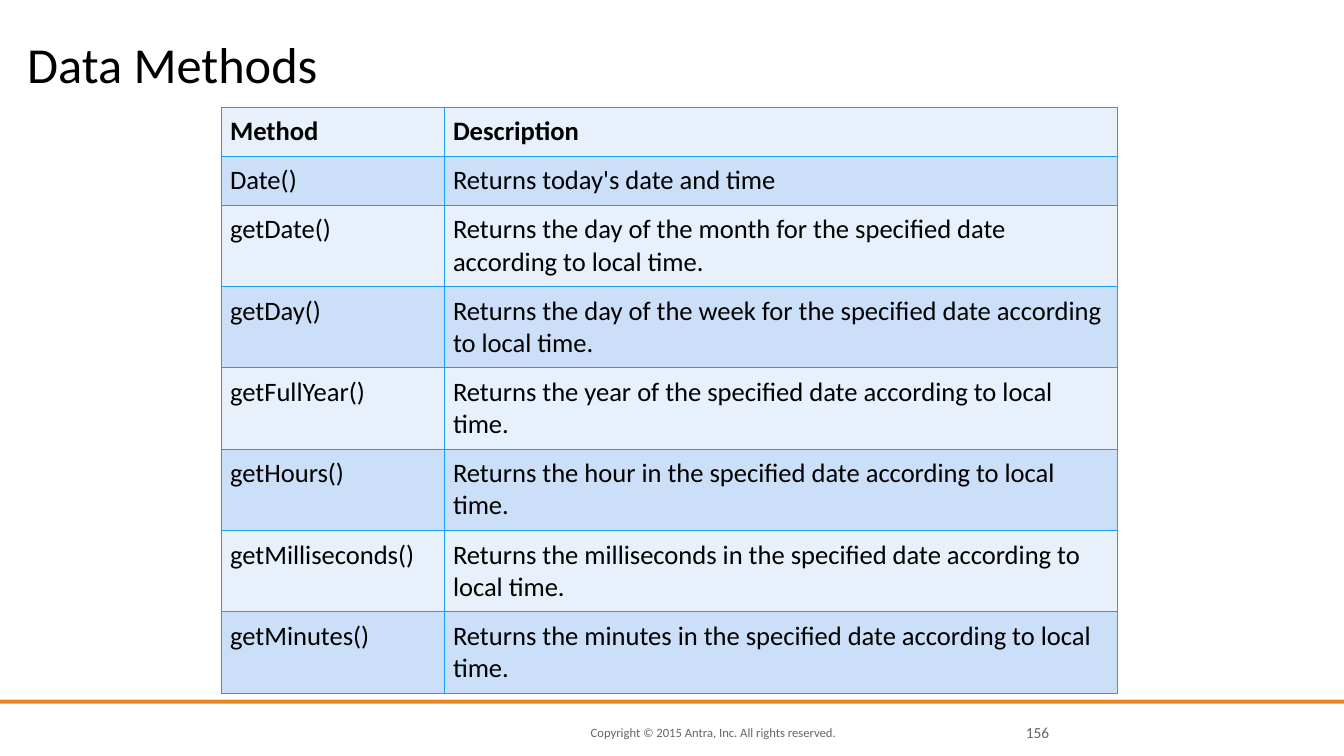
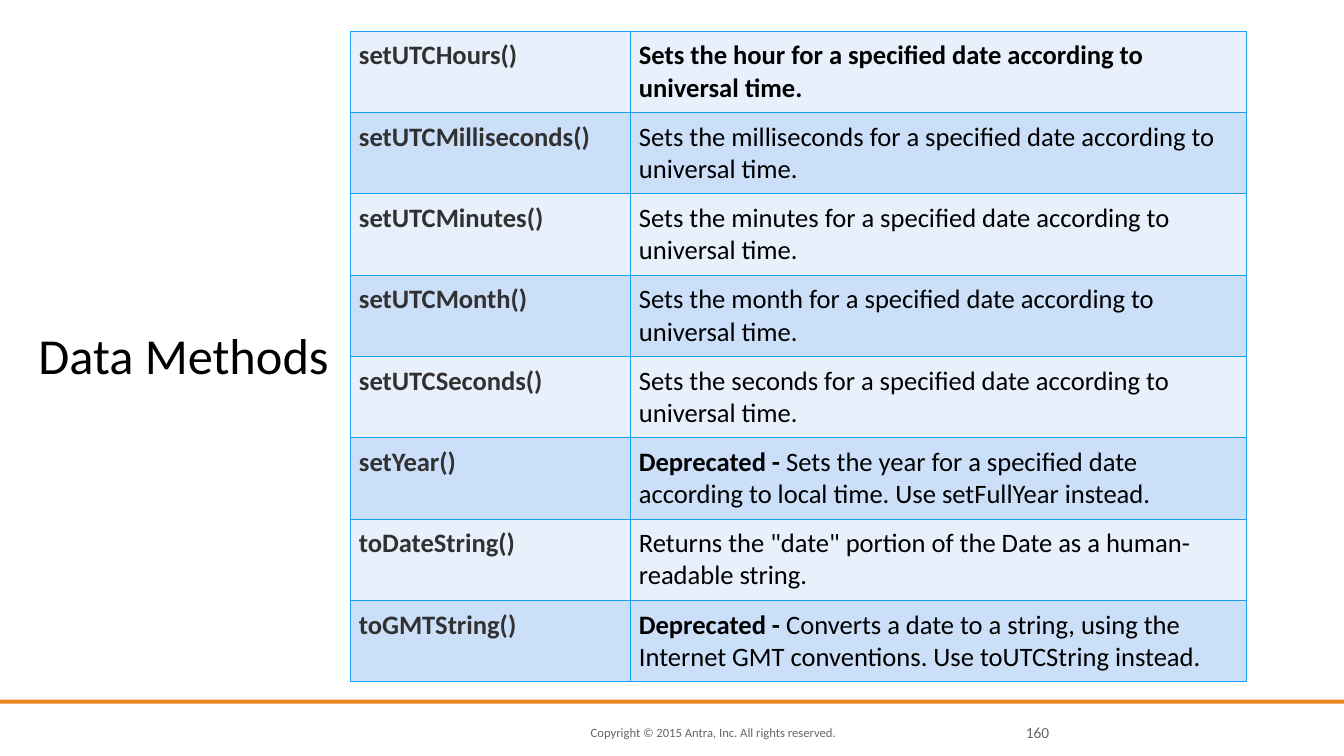
from dataclasses import dataclass

from lxml import etree
from pptx import Presentation
from pptx.dml.color import RGBColor
from pptx.enum.shapes import MSO_SHAPE
from pptx.enum.text import MSO_ANCHOR, MSO_AUTO_SIZE, PP_ALIGN
from pptx.oxml.ns import qn
from pptx.util import Pt

RECT = MSO_SHAPE.RECTANGLE
MIDDLE, BOTTOM = MSO_ANCHOR.MIDDLE, MSO_ANCHOR.BOTTOM
NO_FIT = MSO_AUTO_SIZE.NONE
LEFT, RIGHT, JUSTIFY = PP_ALIGN.LEFT, PP_ALIGN.RIGHT, PP_ALIGN.JUSTIFY


@dataclass(frozen=True)
class Theme:
    font: str = "Calibri"
    black: str = "000000"
    dark: str = "313131"
    grey: str = "666666"
    orange: str = "E68422"
    border: str = "189FEF"
    bands: tuple = ("E8F0FC", "CCDFF9")
    title: float = 36
    cell: float = 19
    number: float = 11
    copyright: float = 9


T = Theme()
ONE_LINE, TWO_LINES = 35, 57.6
CELL_INSET = 6

SLIDES = [
    {
        "number": "156",
        "title_box": (19.4, 18.7, 876, 48.2),
        "table_at": (158.4, 76.5),
        "columns": (159.2, 480.4),
        "method_color": T.black,
        "method_bold": False,
        "rows": [
            ("Method", "Description", ""),
            ("Date()", "", "Returns today's date and time"),
            ("getDate()", "", "Returns the day of the month for the specified date according to local time."),
            ("getDay()", "", "Returns the day of the week for the specified date according to local time."),
            ("getFullYear()", "", "Returns the year of the specified date according to local time."),
            ("getHours()", "", "Returns the hour in the specified date according to local time."),
            ("getMilliseconds()", "", "Returns the milliseconds in the specified date according to local time."),
            ("getMinutes()", "", "Returns the minutes in the specified date according to local time."),
        ],
    },
    {
        "number": "160",
        "title_box": (27.4, 231.1, 876, 43.2),
        "table_at": (250.4, 22.3),
        "columns": (200, 440),
        "method_color": T.dark,
        "method_bold": True,
        "rows": [
            ("setUTCHours()", "Sets the hour for a specified date according to universal time.", ""),
            ("setUTCMilliseconds()", "", "Sets the milliseconds for a specified date according to universal time."),
            ("setUTCMinutes()", "", "Sets the minutes for a specified date according to universal time."),
            ("setUTCMonth()", "", "Sets the month for a specified date according to universal time."),
            ("setUTCSeconds()", "", "Sets the seconds for a specified date according to universal time."),
            ("setYear()", "Deprecated - ",
             "Sets the year for a specified date according to local time. Use setFullYear instead."),
            ("toDateString()", "", 'Returns the "date" portion of the Date as a human-readable string.'),
            ("toGMTString()", "Deprecated - ",
             "Converts a date to a string, using the Internet GMT conventions. Use toUTCString instead."),
        ],
    },
]


def add_run(p, text, size, color, bold=False):
    r = p.add_run()
    r.text = text
    for name, value in {"name": T.font, "size": Pt(size), "bold": bold}.items():
        setattr(r.font, name, value)
    r.font.color.rgb = RGBColor.from_string(color)


def set_frame(tf, anchor, wrap):
    fmt = {
        "margin_left": 0, "margin_top": 0, "margin_right": 0, "margin_bottom": 0,
        "auto_size": NO_FIT, "vertical_anchor": anchor, "word_wrap": wrap,
    }
    for name, value in fmt.items():
        setattr(tf, name, value)
    return tf.paragraphs[0]


prs = Presentation()
prs.slide_width, prs.slide_height = Pt(960), Pt(540)

for spec_slide in SLIDES:
    s = prs.slides.add_slide(prs.slide_layouts[5])

    band = s.shapes.add_shape(RECT, 0, Pt(499.7), prs.slide_width, Pt(2.9))
    band.shadow.inherit = False
    band.fill.solid()
    band.fill.fore_color.rgb = RGBColor.from_string(T.orange)
    band.line.fill.background()

    title = s.shapes.title
    for name, value in zip(("left", "top", "width", "height"), spec_slide["title_box"]):
        setattr(title, name, Pt(value))
    p = set_frame(title.text_frame, BOTTOM, True)
    p.alignment, p.line_spacing = LEFT, 0.8
    add_run(p, "Data Methods", T.title, T.black)

    for text, left, width, size, align in (
        ("Copyright © 2015 Antra, Inc. All rights reserved.", 421.9, 219.6, T.copyright, LEFT),
        (spec_slide["number"], 719.3, 30.2, T.number, RIGHT),
    ):
        sp = s.shapes.add_textbox(Pt(left), Pt(516.2), Pt(width), Pt(14.4))
        p = set_frame(sp.text_frame, MIDDLE, False)
        p.alignment = align
        add_run(p, text, size, T.grey)

    rows, columns = spec_slide["rows"], spec_slide["columns"]
    heights = [TWO_LINES if len(lead + body) > 50 else ONE_LINE for _, lead, body in rows]
    left, top = spec_slide["table_at"]
    table = s.shapes.add_table(
        len(rows), len(columns), Pt(left), Pt(top), Pt(sum(columns)), Pt(sum(heights))
    ).table
    table.first_row = table.horz_banding = False
    for col, width in zip(table.columns, columns):
        col.width = Pt(width)

    for i, (method, lead, body) in enumerate(rows):
        table.rows[i].height = Pt(heights[i])
        method_cell, text_cell = table.cell(i, 0), table.cell(i, 1)
        for cell in (method_cell, text_cell):
            for side in ("left", "top", "right", "bottom"):
                setattr(cell, f"margin_{side}", Pt(CELL_INSET))
            tcPr = cell._tc.get_or_add_tcPr()
            for tag in ("a:lnL", "a:lnR", "a:lnT", "a:lnB"):
                ln = etree.SubElement(tcPr, qn(tag), w=str(Pt(1)))
                fill = etree.SubElement(ln, qn("a:solidFill"))
                etree.SubElement(fill, qn("a:srgbClr"), val=T.border)
            cell.fill.solid()
            cell.fill.fore_color.rgb = RGBColor.from_string(T.bands[i % 2])

        p = method_cell.text_frame.paragraphs[0]
        p.alignment = JUSTIFY if method.endswith("()") else LEFT
        add_run(p, method, T.cell, spec_slide["method_color"], spec_slide["method_bold"] or i == 0)
        p = text_cell.text_frame.paragraphs[0]
        for text, bold in ((lead, True), (body, False)):
            if text:
                add_run(p, text, T.cell, T.black, bold)

prs.save("out.pptx")
